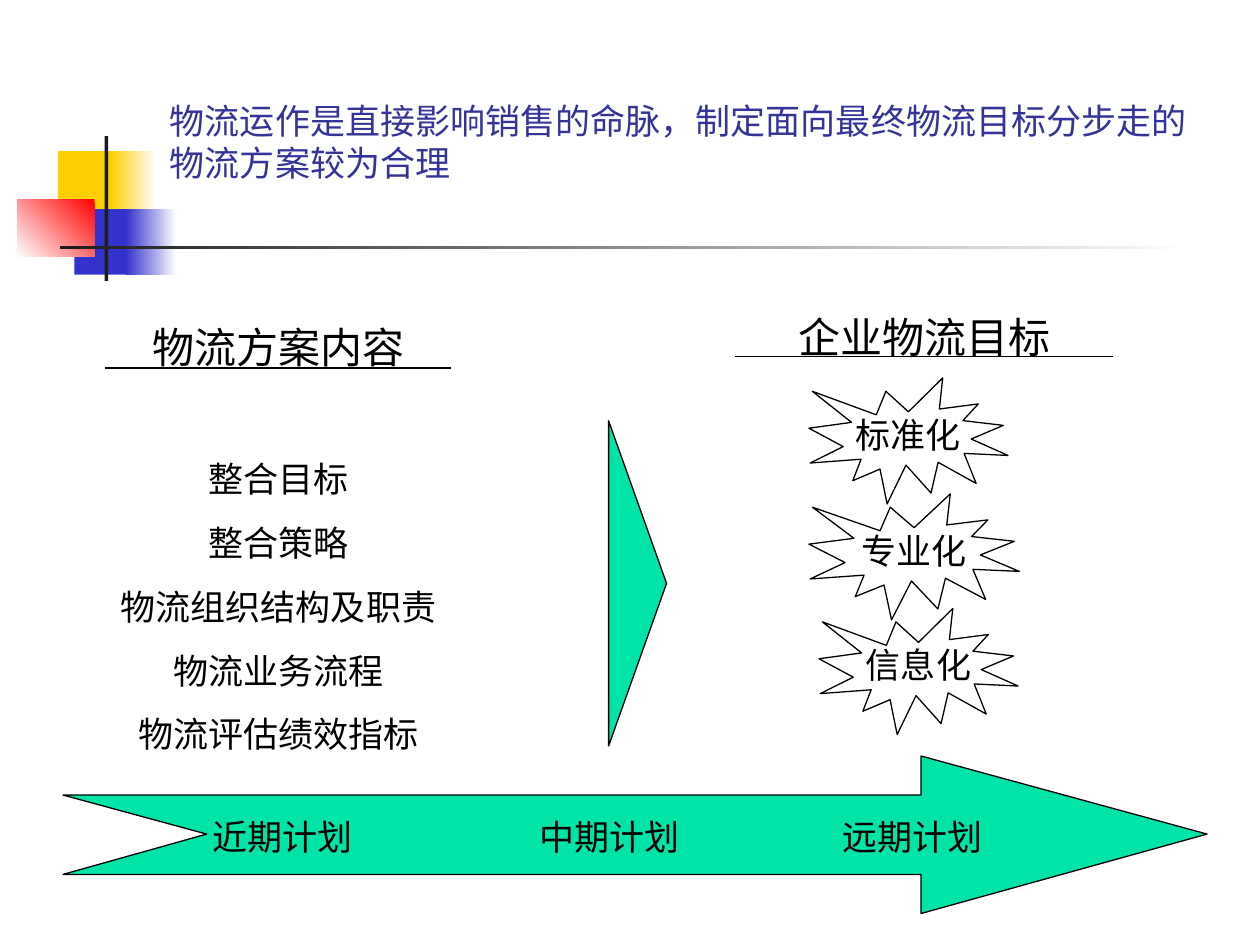
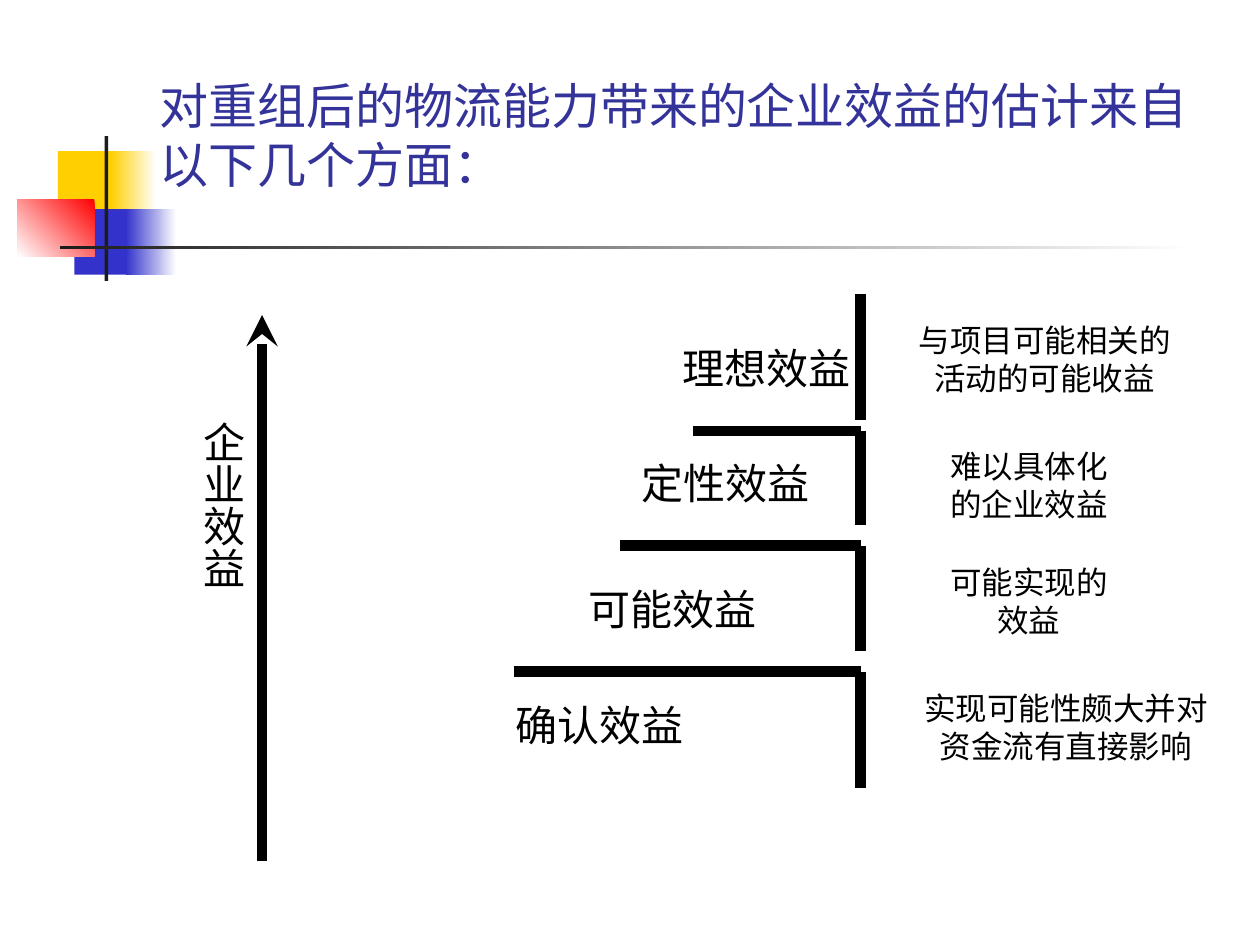
from dataclasses import dataclass
from typing import Optional

from lxml.etree import SubElement
from pptx import Presentation
from pptx.dml.color import RGBColor
from pptx.enum.lang import MSO_LANGUAGE_ID
from pptx.enum.shapes import MSO_CONNECTOR, MSO_SHAPE
from pptx.enum.text import MSO_ANCHOR, PP_ALIGN
from pptx.oxml.ns import qn
from pptx.util import Emu, Pt

EMU_PER_PX = 9144


def px(length: int) -> Emu:
    return Emu(length * EMU_PER_PX)


@dataclass(frozen=True)
class Theme:
    font: str = "Roboto"
    title: str = "333399"
    ink: str = "000000"
    paper: str = "FFFFFF"
    yellow: str = "FFCF01"
    blue: str = "3333CC"
    red: str = "FF0000"
    rule: str = "1C1C1C"
    green: str = "00E4A8"
    small: int = 18
    body: int = 20
    heading: int = 24
    large_title: int = 28
    thin: float = 0.75
    thick: float = 6


THEME = Theme()


@dataclass(frozen=True)
class Box:
    left: int
    top: int
    width: int
    height: int

    def emu(self) -> tuple[Emu, ...]:
        return tuple(px(v) for v in (self.left, self.top, self.width, self.height))


@dataclass(frozen=True)
class Band:
    box: Box
    colors: tuple[str, ...]
    angle: int = 180


@dataclass(frozen=True)
class Line:
    text: str
    size: int = THEME.body
    before: float = 0


@dataclass(frozen=True)
class Seal:
    text: str
    box: Box


@dataclass(frozen=True)
class Level:
    label: str
    label_left: int
    label_top: int
    post_top: int
    post_bottom: int
    rung_left: Optional[int]
    note: str
    note_left: int
    note_top: int
    note_width: int


BANDS = (
    Band(Box(46, 120, 48, 52), (THEME.yellow,)),
    Band(Box(88, 120, 36, 52), (THEME.paper, THEME.yellow)),
    Band(Box(59, 166, 46, 52), (THEME.blue,)),
    Band(Box(100, 166, 40, 52), (THEME.paper, THEME.blue)),
    Band(Box(14, 158, 61, 46), (THEME.red, THEME.paper), 225),
    Band(Box(83, 108, 3, 115), (THEME.rule,)),
    Band(Box(48, 195, 900, 3), (THEME.paper, THEME.rule)),
)

SCHEME_ITEMS = ("整合目标", "整合策略", "物流组织结构及职责", "物流业务流程", "物流评估绩效指标")
ITEM_GAP = 12.5
FIRST_ITEM_GAP = 49

SEALS = (
    Seal("标准化", Box(642, 300, 158, 100)),
    Seal("专业化", Box(642, 392, 167, 100)),
    Seal("信息化", Box(650, 483, 158, 100)),
)

PLANS = (("近期计划", 158), ("中期计划", 417), ("远期计划", 658))

PLAN_ARROW = ((50, 631), (731, 631), (731, 600), (958, 662),
              (731, 725), (731, 694), (50, 694), (164, 662))

POST_X = 683
LEVELS = (
    Level("理想效益", 525, 267, 233, 333, None,
          "与项目可能相关的活动的可能收益", 708, 250, 242),
    Level("定性效益", 492, 358, 342, 417, 550,
          "难以具体化的企业效益", 733, 350, 167),
    Level("可能效益", 450, 458, 433, 517, 492,
          "可能实现的效益", 733, 442, 167),
    Level("确认效益", 392, 550, 533, 625, 408,
          "实现可能性颇大并对资金流有直接影响", 717, 542, 258),
)


def rgb(color: str) -> RGBColor:
    return RGBColor.from_string(color)


def apply_format(target, values: dict) -> None:
    for name, value in values.items():
        setattr(target, name, value)


def paint(shape, fill: Optional[str]) -> None:
    shape.shadow.inherit = False
    if fill:
        shape.fill.solid()
        shape.fill.fore_color.rgb = rgb(fill)
    else:
        shape.fill.background()
    shape.line.color.rgb = rgb(THEME.ink)
    shape.line.width = Pt(THEME.thin)


def add_text(shapes, box: Box, lines: tuple[Line, ...], color: str = THEME.ink,
             alignment=PP_ALIGN.CENTER, anchor=MSO_ANCHOR.TOP, vertical: bool = False):
    shape = shapes.add_textbox(*box.emu())
    side, end = (5, 10) if vertical else (10, 5)
    apply_format(shape.text_frame, {
        "word_wrap": True,
        "vertical_anchor": anchor,
        "margin_left": px(side),
        "margin_right": px(side),
        "margin_top": px(end),
        "margin_bottom": px(end),
    })
    if vertical:
        shape.element.txBody.bodyPr.set("vert", "eaVert")
    for index, line in enumerate(lines):
        frame = shape.text_frame
        paragraph = frame.add_paragraph() if index else frame.paragraphs[0]
        apply_format(paragraph, {"alignment": alignment, "space_before": Pt(line.before)})
        run = paragraph.add_run()
        run.text = line.text
        apply_format(run.font, {
            "name": THEME.font,
            "size": Pt(line.size),
            "language_id": MSO_LANGUAGE_ID.SIMPLIFIED_CHINESE,
        })
        run.font.color.rgb = rgb(color)
        SubElement(run.font._element, qn("a:ea")).set("typeface", THEME.font)
    return shape


def add_line(slide, start: tuple[int, int], end: tuple[int, int],
             width: float, arrow: bool = False) -> None:
    connector = slide.shapes.add_connector(
        MSO_CONNECTOR.STRAIGHT, *(px(v) for v in start + end))
    connector.line.color.rgb = rgb(THEME.ink)
    connector.line.width = Pt(width)
    if arrow:
        SubElement(connector.line._get_or_add_ln(), qn("a:tailEnd")).set("type", "stealth")
    SubElement(connector.element.spPr, qn("a:effectLst"))


def add_band(slide, band: Band) -> None:
    shape = slide.shapes.add_shape(MSO_SHAPE.RECTANGLE, *band.box.emu())
    paint(shape, band.colors[0])
    shape.line.fill.background()
    if len(band.colors) > 1:
        shape.fill.gradient()
        shape.fill.gradient_angle = band.angle
        for stop, color in zip(shape.fill.gradient_stops, band.colors):
            stop.color.rgb = rgb(color)


def add_titled_slide(presentation, title: str, box: Box, size: int):
    slide = presentation.slides.add_slide(presentation.slide_layouts[6])
    for band in BANDS:
        add_band(slide, band)
    add_text(slide.shapes, box, (Line(title, size),), THEME.title,
             PP_ALIGN.LEFT, MSO_ANCHOR.BOTTOM)
    return slide


def add_seal(slide, seal: Seal) -> None:
    group = slide.shapes.add_group_shape()
    box = seal.box
    burst = group.shapes.add_shape(MSO_SHAPE.EXPLOSION1, *box.emu())
    paint(burst, None)
    label = Box(box.left + 15, box.top + 23, box.width - 30, 44)
    add_text(group.shapes, label, (Line(seal.text),))


def add_plan_arrow(slide) -> None:
    start, *rest = [(px(x), px(y)) for x, y in PLAN_ARROW]
    builder = slide.shapes.build_freeform(*start)
    builder.add_line_segments(rest, close=True)
    paint(builder.convert_to_shape(), THEME.green)


def build_scheme_slide(presentation) -> None:
    slide = add_titled_slide(
        presentation, "物流运作是直接影响销售的命脉，制定面向最终物流目标分步走的物流方案较为合理",
        Box(125, 58, 852, 93), THEME.body)
    items = tuple(Line(text, before=ITEM_GAP if index else FIRST_ITEM_GAP)
                  for index, text in enumerate(SCHEME_ITEMS))
    add_text(slide.shapes, Box(67, 250, 308, 355),
             (Line("物流方案内容", THEME.heading),) + items)
    add_line(slide, (83, 292), (358, 292), THEME.thin)
    add_text(slide.shapes, Box(575, 242, 317, 50), (Line("企业物流目标", THEME.heading),))
    add_line(slide, (583, 283), (883, 283), THEME.thin)
    for seal in SEALS:
        add_seal(slide, seal)
    pointer = slide.shapes.add_shape(
        MSO_SHAPE.FLOWCHART_EXTRACT, *Box(377, 440, 258, 46).emu())
    pointer.rotation = 90
    paint(pointer, THEME.green)
    add_plan_arrow(slide)
    for text, left in PLANS:
        add_text(slide.shapes, Box(left, 642, 133, 44), (Line(text),))


def add_level(slide, level: Level) -> None:
    if level.rung_left is not None:
        add_line(slide, (level.rung_left, level.post_top), (POST_X, level.post_top), THEME.thick)
    add_line(slide, (POST_X, level.post_top), (POST_X, level.post_bottom), THEME.thick)
    add_text(slide.shapes, Box(level.label_left, level.label_top, 167, 50),
             (Line(level.label, THEME.heading),))
    add_text(slide.shapes, Box(level.note_left, level.note_top, level.note_width, 70),
             (Line(level.note, THEME.small),))


def build_benefit_slide(presentation) -> None:
    slide = add_titled_slide(
        presentation, "对重组后的物流能力带来的企业效益的估计来自以下几个方面：",
        Box(117, 33, 852, 125), THEME.large_title)
    add_line(slide, (208, 683), (208, 250), THEME.thick, arrow=True)
    add_text(slide.shapes, Box(142, 325, 60, 233),
             (Line("企业效益", THEME.heading),), vertical=True)
    for level in LEVELS:
        add_level(slide, level)


def main() -> None:
    presentation = Presentation()
    apply_format(presentation, {"slide_width": px(1000), "slide_height": px(750)})
    build_scheme_slide(presentation)
    build_benefit_slide(presentation)
    presentation.save("out.pptx")


if __name__ == "__main__":
    main()
